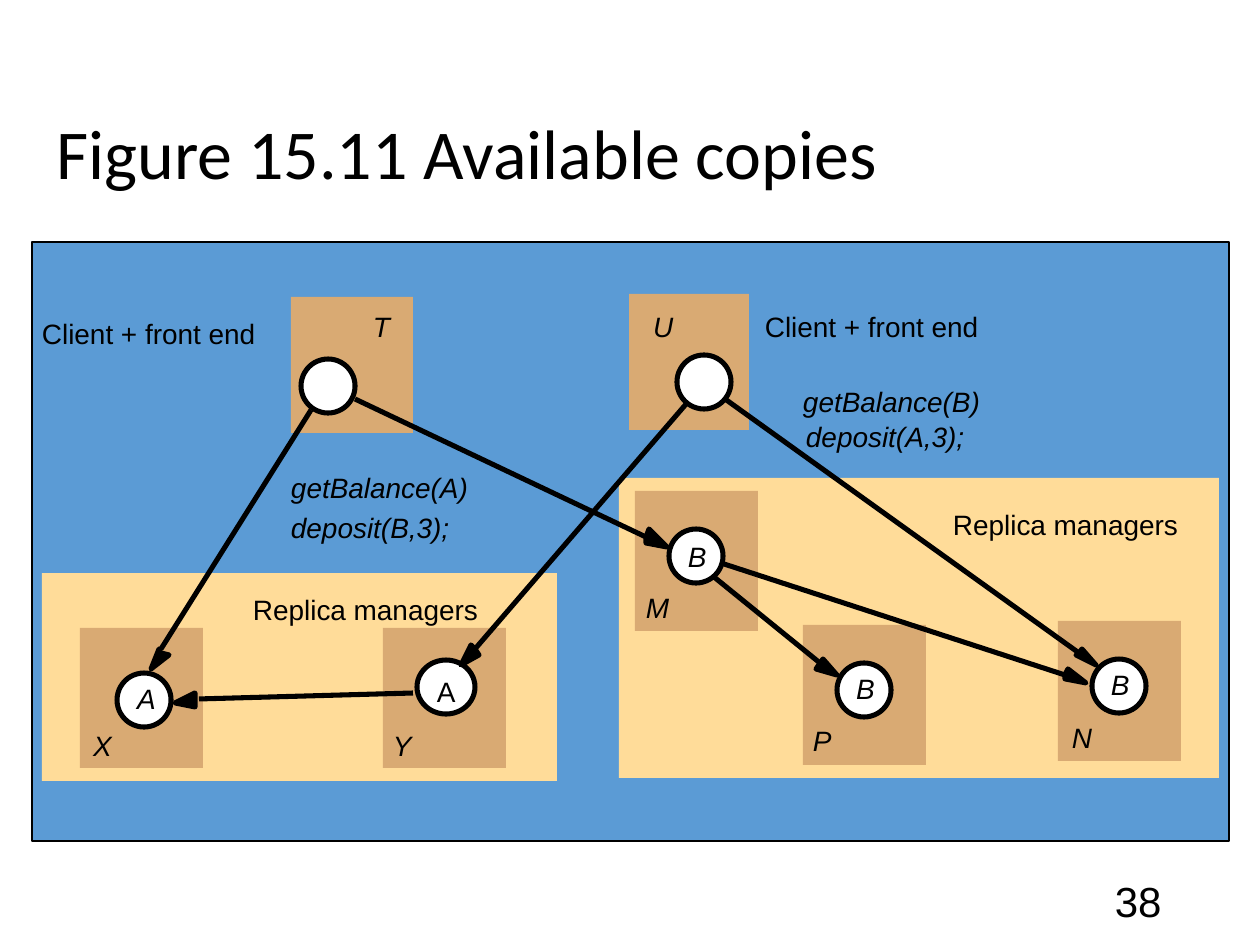
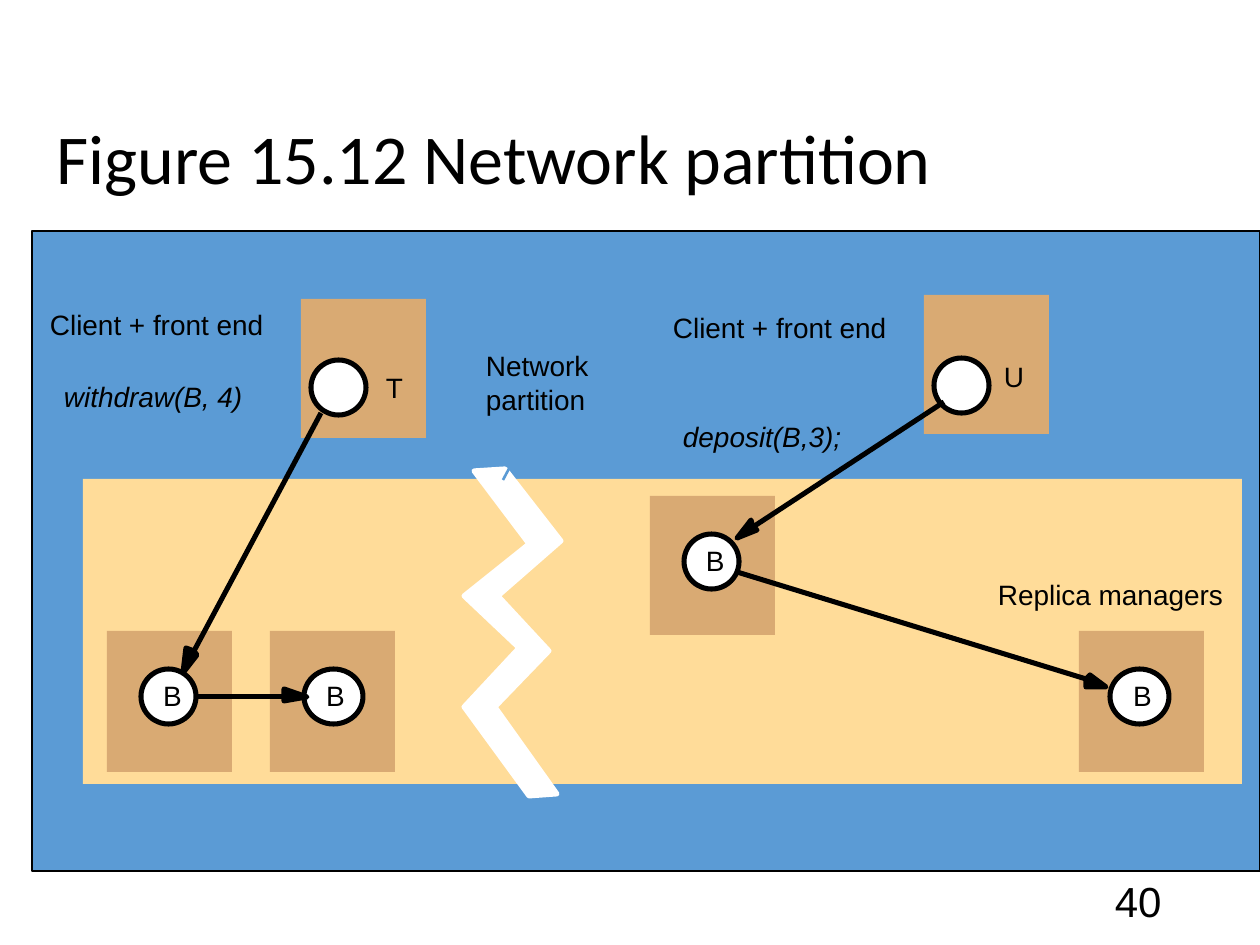
from dataclasses import dataclass

from lxml import etree
from pptx import Presentation
from pptx.dml.color import RGBColor
from pptx.enum.shapes import MSO_CONNECTOR, MSO_SHAPE
from pptx.enum.text import MSO_ANCHOR, MSO_AUTO_SIZE, PP_ALIGN
from pptx.oxml.ns import qn
from pptx.util import Emu, Inches, Pt

RECT, OVAL = MSO_SHAPE.RECTANGLE, MSO_SHAPE.OVAL
STRAIGHT = MSO_CONNECTOR.STRAIGHT
MIDDLE, TOP = MSO_ANCHOR.MIDDLE, MSO_ANCHOR.TOP
LEFT, RIGHT = PP_ALIGN.LEFT, PP_ALIGN.RIGHT
FIT, FIXED = MSO_AUTO_SIZE.SHAPE_TO_FIT_TEXT, MSO_AUTO_SIZE.NONE
TITLE_ONLY = 5
SCALE = 914400 / 126


@dataclass(frozen=True)
class Theme:
    """Colours, fonts and sizes shared by the slides."""
    ink: str = "000000"
    paper: str = "FFFFFF"
    frame: str = "5B9BD5"
    panel: str = "FFDC99"
    box: str = "D9AA73"
    title_font: str = "Calibri"
    body_font: str = "Arial"
    title_size: float = 40
    number_size: float = 24
    label_size: float = 16
    thin: float = 0.75
    medium: float = 1.5
    thick: float = 2.88


THEME = Theme()
NUMBER_AT = (890, 876, 284, 50)
LABEL_HEIGHT = 34
LETTER_WIDTH = 20
LABEL_WIDTHS = {
    "Client + front end": 217, "Replica managers": 229,
    "getBalance(A)": 181, "getBalance(B)": 181, "withdraw(B, 4)": 182,
    "deposit(A,3);": 162, "deposit(B,3);": 162,
    "Network": 107, "partition": 103, "M": 25, "N": 22, "U": 22,
}

COPIES = {
    "title": ("Figure 15.11 Available copies", (44, 108, 1007, 97)),
    "number": "38",
    "frame": (32, 242, 1197, 599),
    "panels": [(619, 478, 600, 300), (42, 573, 515, 208)],
    "boxes": {
        (123, 140): [(80, 628), (383, 628), (635, 491), (803, 625), (1058, 621)],
        (122, 136): [(291, 297)],
        (120, 136): [(629, 294)],
    },
    "discs": {
        (54, 54): [(117, 673), (837, 663), (1092, 659), (301, 359), (677, 355), (669, 529)],
        (58, 54): [(417, 660)],
    },
    "upright": [
        ("Client + front end", 42, 317), ("Client + front end", 765, 310),
        ("Replica managers", 953, 508), ("Replica managers", 253, 593),
        ("A", 437, 675),
    ],
    "italic": [
        ("T", 373, 310), ("U", 653, 310),
        ("getBalance(A)", 291, 471), ("deposit(B,3);", 291, 511),
        ("getBalance(B)", 803, 385), ("deposit(A,3);", 806, 419),
        ("A", 137, 682), ("X", 93, 728), ("Y", 393, 728),
        ("B", 688, 539), ("M", 646, 591), ("B", 856, 672), ("P", 813, 724),
        ("B", 1111, 668), ("N", 1072, 721),
    ],
    "arrows": [
        ((311, 410), (161, 649), [(161, 653), (169, 655), (151, 669), (159, 649)]),
        ((355, 399), (646, 537), [(646, 537), (649, 529), (667, 547), (646, 543)]),
        ((687, 403), (475, 649), [(475, 649), (479, 655), (461, 665), (471, 645)]),
        ((725, 399), (1079, 653), [(1079, 653), (1082, 649), (1096, 665), (1076, 655)]),
        ((721, 563), (1065, 675), [(1065, 675), (1068, 669), (1086, 683), (1065, 679)]),
        ((714, 577), (820, 663), [(820, 663), (823, 659), (837, 675), (816, 669)]),
        ((413, 693), (199, 699), [(195, 699), (195, 707), (175, 703), (195, 693)]),
    ],
}

PARTITION = {
    "title": ("Figure 15.12 Network partition", (44, 113, 1038, 97)),
    "number": "40",
    "frame": (32, 231, 1228, 640),
    "panels": [(83, 479, 1159, 305)],
    "boxes": {
        (125, 141): [(107, 631), (270, 631), (1079, 631)],
        (125, 139): [(650, 496), (301, 299), (924, 295)],
    },
    "discs": {
        (59, 55): [(304, 669), (1110, 669)],
        (55, 55): [(311, 360), (934, 358), (684, 534), (141, 669)],
    },
    "upright": [
        ("Client + front end", 50, 308), ("Client + front end", 673, 311),
        ("Replica managers", 998, 578), ("T", 386, 371), ("U", 1004, 360),
        ("Network", 486, 349), ("partition", 486, 383),
        ("B", 163, 679), ("B", 326, 679), ("B", 706, 544), ("B", 1133, 679),
    ],
    "italic": [("withdraw(B, 4)", 64, 380), ("deposit(B,3);", 683, 419)],
    "arrows": [
        ((321, 413), (194, 651), [(194, 651), (197, 655), (183, 673), (186, 648)]),
        ((194, 697), (284, 697), [(284, 697), (284, 689), (307, 697), (284, 701)]),
        ((944, 402), (753, 527), [(753, 527), (757, 530), (737, 538), (751, 520)]),
        ((737, 572), (1086, 679), [(1086, 679), (1090, 675), (1106, 687), (1086, 687)]),
    ],
}
CRACK = [
    (474, 471), (529, 544), (464, 596), (519, 648), (464, 707), (529, 796),
    (557, 794), (495, 707), (549, 651), (498, 596), (561, 541), (505, 469),
]
CRACK_POINTER = ((537, 416), (503, 480))


def emu(*pixels):
    """Turn pixel lengths into EMU."""
    return [Emu(round(n * SCALE)) for n in pixels]


def apply(obj, values):
    """Set each named attribute of an object."""
    for name, value in values.items():
        setattr(obj, name, value)


def paint(sp, fill, line=None, width=THEME.thick):
    """Give a shape a flat fill and an optional outline."""
    sp.shadow.inherit = False
    sp.fill.solid()
    sp.fill.fore_color.rgb = RGBColor.from_string(fill)
    if line:
        sp.line.color.rgb = RGBColor.from_string(line)
        sp.line.width = Pt(width)
    else:
        sp.line.fill.background()


def add_block(shapes, kind, at, fill, line=None, width=THEME.thick):
    """Add a preset shape."""
    paint(shapes.add_shape(kind, *emu(*at)), fill, line, width)


def add_polygon(shapes, points, color):
    """Add a closed outline filled and stroked in one colour."""
    builder = shapes.build_freeform(*points[0], scale=SCALE)
    builder.add_line_segments(points[1:], close=True)
    paint(builder.convert_to_shape(), color, color)


def add_line(shapes, start, end, color, width):
    """Add a straight connector without a shadow."""
    sp = shapes.add_connector(STRAIGHT, *emu(*start, *end))
    sp.line.color.rgb = RGBColor.from_string(color)
    sp.line.width = Pt(width)
    etree.SubElement(sp._element.spPr, qn("a:effectLst"))


def add_arrow(shapes, start, end, head):
    """Add a line with its solid arrowhead."""
    add_polygon(shapes, head, THEME.ink)
    add_line(shapes, start, end, THEME.ink, THEME.thick)


def write(sp, text, size, font, frame, align=LEFT, italic=False):
    """Write one formatted paragraph into a shape."""
    tf = sp.text_frame
    apply(tf, frame)
    p = tf.paragraphs[0]
    p.alignment = align
    r = p.add_run()
    r.text = text
    apply(r.font, {"name": font, "size": Pt(size), "italic": italic})
    r.font.color.rgb = RGBColor.from_string(THEME.ink)
    return p


def add_label(shapes, text, x, y, italic):
    """Add an unwrapped label without insets."""
    width = LABEL_WIDTHS.get(text, LETTER_WIDTH)
    sp = shapes.add_textbox(*emu(x, y, width, LABEL_HEIGHT))
    frame = {"word_wrap": False, "auto_size": FIT, "vertical_anchor": TOP}
    frame.update({f"margin_{side}": 0 for side in ("left", "top", "right", "bottom")})
    write(sp, text, THEME.label_size, THEME.body_font, frame, italic=italic)


def add_heading(slide, title, at, number):
    """Fill the title placeholder and add the slide number."""
    frame = {"word_wrap": True, "auto_size": FIXED, "vertical_anchor": MIDDLE}
    sp = slide.shapes.title
    apply(sp, dict(zip(("left", "top", "width", "height"), emu(*at))))
    p = write(sp, title, THEME.title_size, THEME.title_font, frame)
    p.line_spacing = 0.9
    sp = slide.shapes.add_textbox(*emu(*NUMBER_AT))
    write(sp, number, THEME.number_size, THEME.body_font, frame, RIGHT)


def add_diagram(prs, figure):
    """Add a slide with its diagram and return the diagram's shapes."""
    slide = prs.slides.add_slide(prs.slide_layouts[TITLE_ONLY])
    add_heading(slide, *figure["title"], figure["number"])
    shapes = slide.shapes.add_group_shape().shapes
    add_block(shapes, RECT, figure["frame"], THEME.frame, THEME.ink, THEME.thin)
    for at in figure["panels"]:
        add_block(shapes, RECT, at, THEME.panel)
    for size, corners in figure["boxes"].items():
        for corner in corners:
            add_block(shapes, RECT, corner + size, THEME.box)
    for size, corners in figure["discs"].items():
        for corner in corners:
            add_block(shapes, OVAL, corner + size, THEME.paper, THEME.ink)
    for style in ("upright", "italic"):
        for label in figure[style]:
            add_label(shapes, *label, style == "italic")
    for arrow in figure["arrows"]:
        add_arrow(shapes, *arrow)
    return shapes


def main():
    """Build both slides and save the file."""
    prs = Presentation()
    apply(prs, {"slide_width": Inches(10), "slide_height": Inches(7.5)})
    add_diagram(prs, COPIES)
    shapes = add_diagram(prs, PARTITION)
    add_polygon(shapes, CRACK, THEME.paper)
    add_line(shapes, *CRACK_POINTER, THEME.frame, THEME.medium)
    prs.save("out.pptx")


main()
